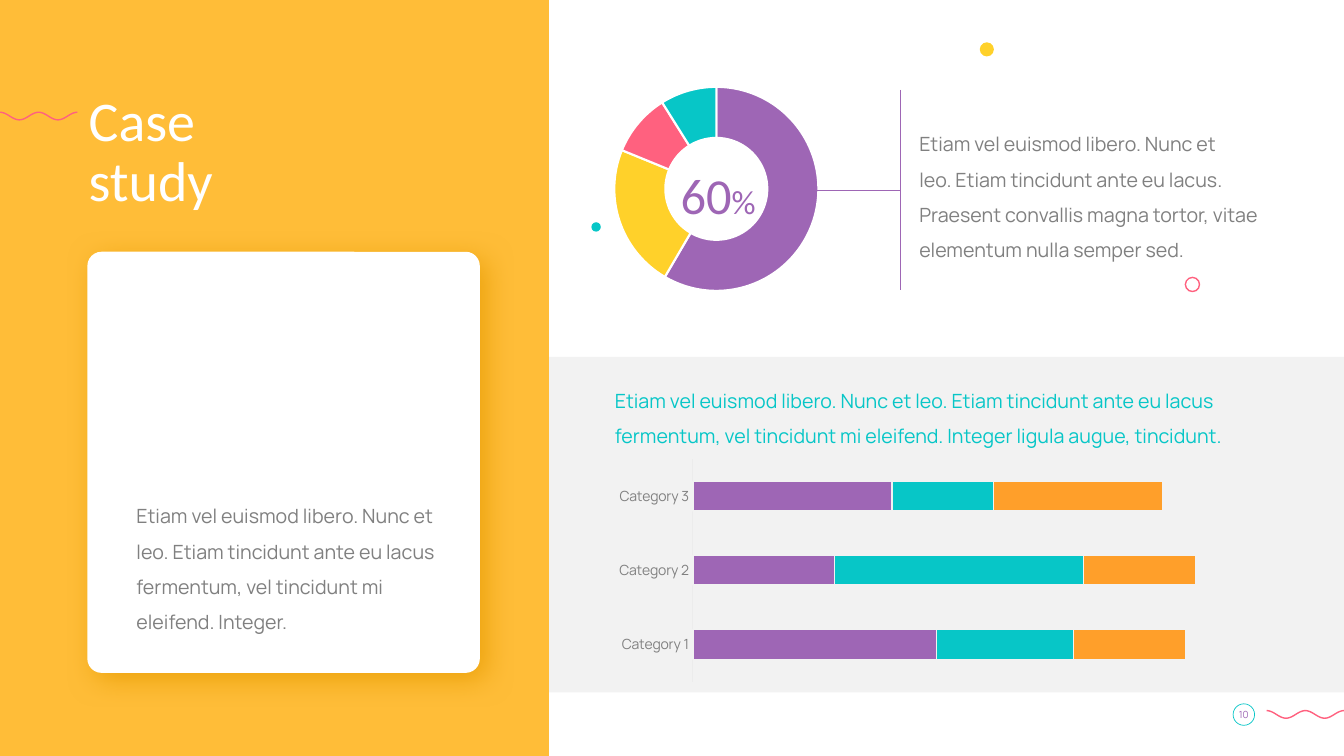
import math

import lxml.etree
import pptx
import pptx.chart.data
import pptx.dml.color
import pptx.enum.chart
import pptx.enum.shapes
import pptx.enum.text
import pptx.oxml
import pptx.oxml.ns
import pptx.util

SHAPE = pptx.enum.shapes.MSO_SHAPE
ALIGN = pptx.enum.text.PP_ALIGN
ANCHOR = pptx.enum.text.MSO_ANCHOR
CHART = pptx.enum.chart.XL_CHART_TYPE
PURPLE, TEAL, PINK, YELLOW = "9E66B5", "07C6C7", "FF617F", "FFD12A"
ORANGE, AMBER, GREY, PALE, WHITE = "FF9F2A", "FFBD38", "808080", "F2F2F2", "FFFFFF"


def rgb(value):
    return pptx.dml.color.RGBColor.from_string(value)


class CaseStudySlide:
    """Draws elements placed in percent of the slide's width and height."""

    heading_font, body_font = "Calibri", "Manrope"

    def __init__(self, deck):
        self.width, self.height = deck.slide_width, deck.slide_height
        self.slide = deck.slides.add_slide(deck.slide_layouts[5])
        self.shapes = self.slide.shapes

    def x(self, share):
        return round(self.width * share / 100)

    def y(self, share):
        return round(self.height * share / 100)

    def box(self, left, top, width, height):
        return self.x(left), self.y(top), self.x(width), self.y(height)

    def paint(self, shape, fill=None, line=None, weight=1):
        shape.shadow.inherit = False
        if fill:
            shape.fill.solid()
            shape.fill.fore_color.rgb = rgb(fill)
        else:
            shape.fill.background()
        if line:
            shape.line.color.rgb = rgb(line)
            shape.line.width = pptx.util.Pt(weight)
        else:
            shape.line.fill.background()
        return shape

    def block(self, area, fill, kind=SHAPE.RECTANGLE):
        return self.paint(self.shapes.add_shape(kind, *self.box(*area)), fill)

    def card(self, area, fill, shadow):
        card = self.block(area, fill, SHAPE.ROUNDED_RECTANGLE)
        card.adjustments[0] = 0.036
        effects = card.element.spPr.find(pptx.oxml.ns.qn("a:effectLst"))
        effects.append(pptx.oxml.parse_xml(
            f'<a:outerShdw {pptx.oxml.ns.nsdecls("a")} blurRad="{pptx.util.Pt(20)}" '
            f'dist="{pptx.util.Pt(7)}" dir="2700000" algn="tl" rotWithShape="0">'
            f'<a:srgbClr val="{shadow}"><a:alpha val="77000"/></a:srgbClr></a:outerShdw>'))

    def dot(self, left, top, diameter, **style):
        """Diameter is a share of the slide's width."""
        size = self.x(diameter)
        dot = self.shapes.add_shape(SHAPE.OVAL, self.x(left), self.y(top), size, size)
        self.paint(dot, **style)

    def wave(self, left, top, width, height=1, steps=64):
        """Two full swings that start and end at the top."""
        points = []
        for step in range(steps + 1):
            part = step / steps
            drop = (1 - math.cos(4 * math.pi * part)) / 2
            points.append((self.x(left + width * part), self.y(top + height * drop)))
        builder = self.shapes.build_freeform(*points[0], scale=1.0)
        builder.add_line_segments(points[1:], close=False)
        self.paint(builder.convert_to_shape(), line=PINK)

    def rule(self, x1, y1, x2, y2):
        rule = self.shapes.add_connector(
            pptx.enum.shapes.MSO_CONNECTOR.STRAIGHT,
            self.x(x1), self.y(y1), self.x(x2), self.y(y2))
        rule.line.color.rgb = rgb(PURPLE)
        rule.line.width = pptx.util.Pt(0.5)
        lxml.etree.SubElement(rule.element.spPr, pptx.oxml.ns.qn("a:effectLst"))

    def fill_frame(self, frame, words, size, color, font, spacing, align, anchor, right=0.1):
        frame.text = words
        frame.word_wrap = True
        frame.auto_size = pptx.enum.text.MSO_AUTO_SIZE.NONE
        frame.vertical_anchor = anchor
        frame.margin_left, frame.margin_right = 0, pptx.util.Inches(right)
        frame.margin_top = frame.margin_bottom = pptx.util.Inches(0.05)
        paragraph = frame.paragraphs[0]
        paragraph.alignment, paragraph.line_spacing = align, spacing
        for run in paragraph.runs:
            self.style(run.font, size, color, font)

    def style(self, font, size, color, name):
        font.size, font.name, font.color.rgb = pptx.util.Pt(size), name, rgb(color)

    def title(self, area, words):
        title = self.shapes.title
        title.left, title.top, title.width, title.height = self.box(*area)
        title.element.getparent().append(title.element)
        self.fill_frame(title.text_frame, words, 40, WHITE, self.heading_font, 0.9,
                        ALIGN.LEFT, ANCHOR.TOP)

    def text(self, area, words, size=14, color=GREY, font=body_font, spacing=1.5,
             align=ALIGN.LEFT, anchor=ANCHOR.TOP, right=0.1):
        frame = self.shapes.add_textbox(*self.box(*area)).text_frame
        self.fill_frame(frame, words, size, color, font, spacing, align, anchor, right)
        return frame.paragraphs[0]

    def chart(self, area, kind, categories, series, font, plot_area):
        """plot_area is left, top, width and height as parts of the chart."""
        data = pptx.chart.data.CategoryChartData()
        data.categories = categories
        for number, values in enumerate(series, 1):
            data.add_series(f"Series {number}", values)
        chart = self.shapes.add_chart(kind, *self.box(*area), data).chart
        chart.has_legend = chart.has_title = False
        self.style(chart.font, 10, GREY, font)
        plot = chart.element.xpath(".//c:plotArea")[0]
        for layout in plot.xpath("./c:layout"):
            plot.remove(layout)
        sides = "".join(f'<c:{side} val="{part}"/>' for side, part in zip("xywh", plot_area))
        plot.insert(0, pptx.oxml.parse_xml(
            f'<c:layout {pptx.oxml.ns.nsdecls("c")}><c:manualLayout>'
            '<c:layoutTarget val="inner"/><c:xMode val="edge"/><c:yMode val="edge"/>'
            f'{sides}</c:manualLayout></c:layout>'))
        return chart

    def color_part(self, part, fill, line, weight):
        part.format.fill.solid()
        part.format.fill.fore_color.rgb = rgb(fill)
        part.format.line.color.rgb = rgb(line)
        part.format.line.width = pptx.util.Pt(weight)

    def doughnut(self, area, values, colors):
        chart = self.chart(area, CHART.DOUGHNUT, ["1", "2", "3", "4"], [values],
                           self.heading_font, (0.24, 0.06, 0.52, 0.87))
        chart.element.xpath(".//c:holeSize")[0].set("val", "60")
        for index, color in enumerate(colors):
            self.color_part(chart.plots[0].series[0].points[index], color, WHITE, 1.5)

    def stacked_bars(self, area, categories, series, colors):
        chart = self.chart(area, CHART.BAR_STACKED, categories, series,
                           self.body_font, (0.13, 0.02, 0.82, 0.96))
        plot = chart.plots[0]
        plot.gap_width, plot.overlap, plot.vary_by_categories = 150, 100, False
        for bars, color in zip(plot.series, colors):
            self.color_part(bars, color, PALE, 1)
        amounts, names = chart.value_axis, chart.category_axis
        amounts.visible = amounts.has_major_gridlines = False
        amounts.minimum_scale, amounts.maximum_scale = 0, 220
        names.major_tick_mark = pptx.enum.chart.XL_TICK_MARK.NONE
        names.format.line.color.rgb = rgb("ECECEC")
        names.format.line.width = pptx.util.Pt(0.75)
        self.style(names.tick_labels.font, 10, GREY, self.body_font)


def main():
    deck = pptx.Presentation()
    deck.slide_width, deck.slide_height = pptx.util.Inches(13.33), pptx.util.Inches(7.5)
    page = CaseStudySlide(deck)

    page.dot(91.75, 93.1, 1.6, line=TEAL, weight=0.5)
    page.wave(94.25, 94, 5.75)
    page.text((91.15, 93.1, 2.8, 2.9), "10", 7, PURPLE, spacing=1, align=ALIGN.CENTER,
              anchor=ANCHOR.BOTTOM, right=0)
    page.block((37.3, 47.2, 62.7, 44.4), PALE)
    page.block((0, 0, 40.85, 100), AMBER)
    page.card((6.5, 33.3, 29.2, 55.7), WHITE, shadow="E79C01")
    page.wave(0, 14.85, 5.75)
    page.dot(88.2, 36.7, 1.05, line=PINK)
    page.dot(44, 29.4, 0.7, fill=TEAL)
    page.dot(72.9, 5.6, 1.05, fill=YELLOW)
    page.title((6.6, 11.6, 30.9, 17.5), "Case\vstudy")

    page.doughnut((38.7, 9.6, 29.2, 31.1), [59, 23, 10, 9], [PURPLE, YELLOW, PINK, TEAL])
    page.rule(59.3, 25.2, 67, 25.2)
    page.text((68.4, 15.3, 26.8, 19.9),
              "Etiam vel euismod libero. Nunc et \vleo. Etiam tincidunt ante eu lacus. "
              "Praesent convallis magna tortor, vitae elementum nulla semper sed.")
    page.rule(67, 11.9, 67, 38.4)
    share = page.text((48.6, 17.6, 10.4, 12.3), "60", 36, PURPLE, page.heading_font,
                      align=ALIGN.CENTER, anchor=ANCHOR.MIDDLE)
    percent = share.add_run()
    percent.text = "%"
    page.style(percent.font, 24, PURPLE, page.heading_font)

    page.text((45.75, 49.2, 49.65, 10.4),
              "Etiam vel euismod libero. Nunc et leo. Etiam tincidunt ante eu lacus "
              "fermentum, vel tincidunt mi eleifend. Integer ligula augue, tincidunt.",
              color=TEAL)
    page.stacked_bars((45.1, 60.1, 49.65, 30.7), ["Category 1", "Category 2", "Category 3"],
                      [[98, 57, 80], [55, 100, 41], [45, 45, 68]], [PURPLE, TEAL, ORANGE])
    page.text((10.15, 64.5, 23.4, 19.9),
              "Etiam vel euismod libero. Nunc et leo. Etiam tincidunt ante eu lacus "
              "fermentum, vel tincidunt mi eleifend. Integer.")
    deck.save("out.pptx")


if __name__ == "__main__":
    main()
